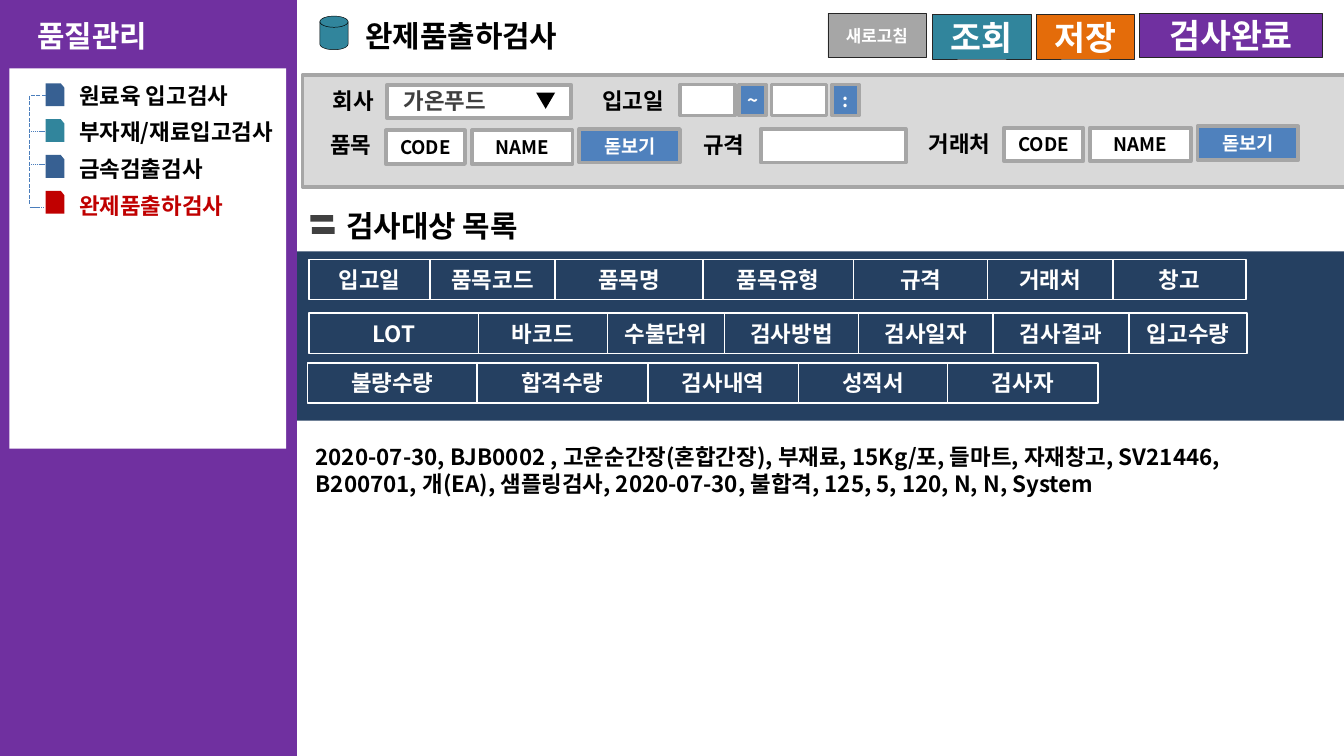
from itertools import accumulate

from lxml.etree import SubElement
from pptx import Presentation
from pptx.dml.color import RGBColor
from pptx.enum.dml import MSO_LINE
from pptx.enum.shapes import MSO_CONNECTOR, MSO_SHAPE
from pptx.enum.text import MSO_ANCHOR, MSO_AUTO_SIZE, PP_ALIGN
from pptx.oxml.ns import qn
from pptx.util import Inches, Pt

FONT = "Noto Sans CJK KR"
WIDTH = 10
HEIGHT = WIDTH * 9 / 16
SIDEBAR = 2.21
COLORS = {
    "purple": "7030A0", "white": "FFFFFF", "black": "000000", "blue": "376092",
    "teal": "31859C", "red": "C00000", "orange": "E46C0A", "gray": "A6A6A6",
    "panel": "D9D9D9", "dark": "404040", "edge": "262626", "navy": "254061",
    "button": "4F81BD", "tree": "4B7EBC",
}

MENU_TOP, MENU_STEP = 0.56, 0.82 / 3
CARD_TOP, CARD_STEP = 0.62, 0.8 / 3
MENU = [("원료육 입고검사", "blue", "black"), ("부자재/재료입고검사", "teal", "black"),
        ("금속검출검사", "blue", "black"), ("완제품출하검사", "red", "red")]
BRANCHES = [(0.23, 0.98), (0.23, 1.22), (0.22, 1.54)]

# text, left, top, width, fill, size
ACTIONS = [("새로고침", 6.16, 0.1, 0.73, "gray", 9), ("조회", 6.94, 0.11, 0.73, "teal", 18),
           ("저장", 7.71, 0.11, 0.73, "orange", 18), ("검사완료", 8.48, 0.1, 1.36, "purple", 18)]

# text, left, top, width, colour, alignment
FIELD_LABELS = [
    ("회사", 2.3, 0.6, 0.66, "black", PP_ALIGN.CENTER),
    ("가온푸드", 2.87, 0.6, 0.88, "dark", PP_ALIGN.CENTER),
    ("입고일", 4.19, 0.6, 1.04, "black", PP_ALIGN.CENTER),
    ("품목", 2.36, 0.93, 0.6, "black", PP_ALIGN.LEFT),
    ("규격", 5.04, 0.93, 0.69, "black", PP_ALIGN.CENTER),
    ("거래처", 6.81, 0.92, 0.75, "black", PP_ALIGN.LEFT),
]
# text, left, top, width, height, fill
FIELDS = [
    ("", 2.88, 0.63, 1.37, 0.25, "white"),
    ("", 5.06, 0.63, 0.41, 0.23, "white"), ("~", 5.5, 0.63, 0.2, 0.23, "button"),
    ("", 5.74, 0.63, 0.41, 0.23, "white"), (":", 6.19, 0.63, 0.2, 0.23, "button"),
    ("", 5.66, 0.96, 1.08, 0.25, "white"),
]
LOOKUP_STARTS = [(2.87, 0.97), (7.47, 0.95)]
# text, offset from the start, rise, width, fill
LOOKUP = [("CODE", 0, 0, 0.59, "white"), ("NAME", 0.64, 0, 0.75, "white"),
          ("돋보기", 1.44, 0.01, 0.75, "button")]

# left, top, columns with their widths
HEADER_ROWS = [
    (2.3, 1.93, [("입고일", 0.9), ("품목코드", 0.93), ("품목명", 1.1), ("품목유형", 1.12),
                 ("규격", 1), ("거래처", 0.93), ("창고", 0.99)]),
    (2.3, 2.33, [("LOT", 1.26), ("바코드", 0.96), ("수불단위", 0.87), ("검사방법", 1),
                 ("검사일자", 1), ("검사결과", 1.01), ("입고수량", 0.88)]),
    (2.29, 2.7, [("불량수량", 1.26), ("합격수량", 1.27), ("검사내역", 1.12),
                 ("성적서", 1.11), ("검사자", 1.12)]),
]
RECORD = ["2020-07-30, BJB0002 , 고운순간장(혼합간장), 부재료, 15Kg/포, 들마트, 자재창고, SV21446,",
          "B200701, 개(EA), 샘플링검사, 2020-07-30, 불합격, 125, 5, 120, N, N, System"]


def color(name):
    return RGBColor.from_string(COLORS[name])


def write(box, lines, size, ink="black", align=PP_ALIGN.LEFT, anchor=MSO_ANCHOR.TOP):
    frame = box.text_frame
    frame.word_wrap = True
    frame.auto_size = MSO_AUTO_SIZE.NONE
    frame.vertical_anchor = anchor
    frame.text = "\n".join(lines)
    for para in frame.paragraphs:
        para.alignment = align
        font = para.font
        font.name, font.size, font.bold = FONT, Pt(size), True
        font.color.rgb = color(ink)
        SubElement(para._p.pPr.find(qn("a:defRPr")), qn("a:ea"), typeface=FONT)


def add_label(page, text, left, top, width, size, ink="black", align=PP_ALIGN.LEFT):
    height = 0.37 if size > 12 else 0.3
    box = page.shapes.add_textbox(*map(Inches, (left, top, width, height)))
    write(box, [text], size, ink, align)


def add_box(page, at, fill=None, line=None, weight=0.25, kind=MSO_SHAPE.RECTANGLE):
    box = page.shapes.add_shape(kind, *map(Inches, at))
    box.shadow.inherit = False
    if fill:
        box.fill.solid()
        box.fill.fore_color.rgb = color(fill)
    else:
        box.fill.background()
    if line:
        box.line.color.rgb = color(line)
        box.line.width = Pt(weight)
    else:
        box.line.fill.background()
    return box


def write_centred(box, text, size, ink):
    frame = box.text_frame
    frame.margin_left = frame.margin_right = 0
    write(box, [text], size, ink, PP_ALIGN.CENTER, MSO_ANCHOR.MIDDLE)


def add_dashes(page, kind, start, end, weight):
    connector = page.shapes.add_connector(kind, *map(Inches, start + end))
    connector.line.color.rgb = color("tree")
    connector.line.width = Pt(weight)
    connector.line.dash_style = MSO_LINE.SQUARE_DOT
    properties = connector._element.spPr
    properties.find(".//" + qn("a:prstDash")).set("val", "sysDash")
    SubElement(properties, qn("a:effectLst"))
    return connector


def add_sidebar(page):
    add_box(page, (0, 0, SIDEBAR, HEIGHT), "purple")
    add_label(page, "품질관리", 0.18, 0.08, 1.73, 16, "white")
    add_box(page, (0.07, 0.51, 2.06, 2.83), "white")
    for row, (text, fill, ink) in enumerate(MENU):
        add_label(page, text, 0.49, MENU_TOP + row * MENU_STEP, 1.81, 12, ink)
        card = add_box(page, (0.34, CARD_TOP + row * CARD_STEP, 0.14, 0.17), fill,
                       kind=MSO_SHAPE.FLOWCHART_CARD)
        card._element.spPr.find(qn("a:xfrm")).set("flipH", "1")
    trunk = add_dashes(page, MSO_CONNECTOR.ELBOW, (0.34, 0.71), (0.22, 1.53), 0.75)
    trunk._element.spPr.find(qn("a:prstGeom")).set("prst", "bentConnector2")
    for left, top in BRANCHES:
        add_dashes(page, MSO_CONNECTOR.STRAIGHT, (left, top), (left + 0.1, top), 0.25)


def add_top_bar(page):
    title = page.shapes.title
    title.left, title.top, title.width, title.height = map(Inches, (2.62, 0.08, 2.42, 0.37))
    write(title, ["완제품출하검사"], 16)
    add_box(page, (2.38, 0.12, 0.21, 0.25), "teal", "black",
            kind=MSO_SHAPE.FLOWCHART_MAGNETIC_DISK)
    for text, left, top, width, fill, size in ACTIONS:
        button = add_box(page, (left, top, width, 0.33), fill, "edge")
        write_centred(button, text, size, "white")


def add_search_panel(page):
    add_box(page, (2.25, 0.56, 7.79, 0.83), "panel", "gray", 2)
    lookups = [(text, left + offset, top - rise, width, 0.25, fill)
               for left, top in LOOKUP_STARTS
               for text, offset, rise, width, fill in LOOKUP]
    for text, left, top, width, height, fill in FIELDS + lookups:
        field = add_box(page, (left, top, width, height), fill, "gray", 2)
        if text:
            write_centred(field, text, 10, "black" if fill == "white" else "white")
    arrow = add_box(page, (3.99, 0.69, 0.14, 0.12), "black",
                    kind=MSO_SHAPE.ISOSCELES_TRIANGLE)
    arrow.rotation = 180
    for text, left, top, width, ink, align in FIELD_LABELS:
        add_label(page, text, left, top, width, 12, ink, align)


def add_inspection_list(page):
    add_label(page, "검사대상 목록", 2.48, 1.5, 2.68, 16)
    for left, top in [(2.31, 1.6), (2.32, 1.69)]:
        add_box(page, (left, top, 0.17, 0.05), "dark")
    add_box(page, (SIDEBAR, 1.87, WIDTH - SIDEBAR, 1.26), "navy")
    for start, top, columns in HEADER_ROWS:
        lefts = accumulate((width for _, width in columns), initial=start)
        for left, (text, width) in zip(lefts, columns):
            cell = add_box(page, (left, top, width, 0.3), None, "white", 0.75)
            write_centred(cell, text, 12, "white")
    record = add_box(page, (2.25, 3.25, 7.52, 0.5), None, "white", 0.75)
    write(record, RECORD, 12)


def main():
    deck = Presentation()
    deck.slide_width, deck.slide_height = Inches(WIDTH), Inches(HEIGHT)
    page = deck.slides.add_slide(deck.slide_layouts.get_by_name("Title Only"))
    add_sidebar(page)
    add_top_bar(page)
    add_search_panel(page)
    add_inspection_list(page)
    deck.save("out.pptx")


if __name__ == "__main__":
    main()
